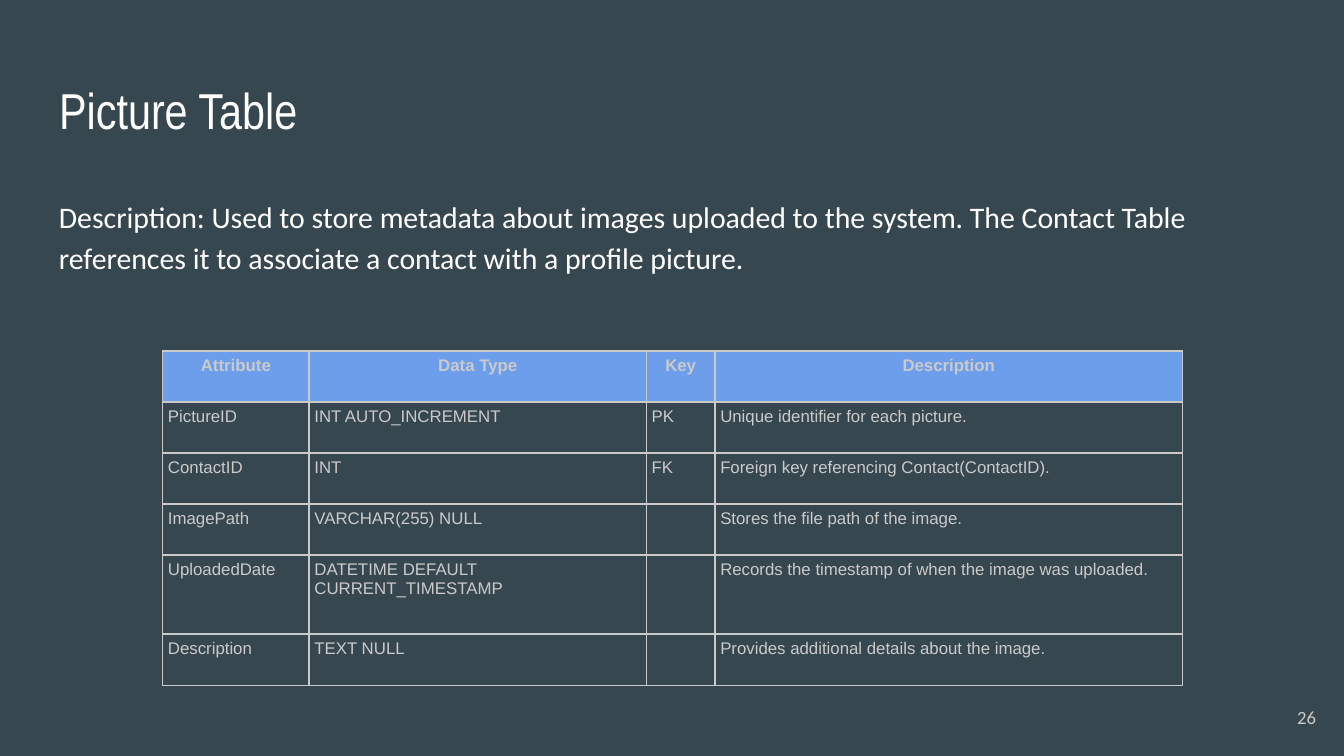
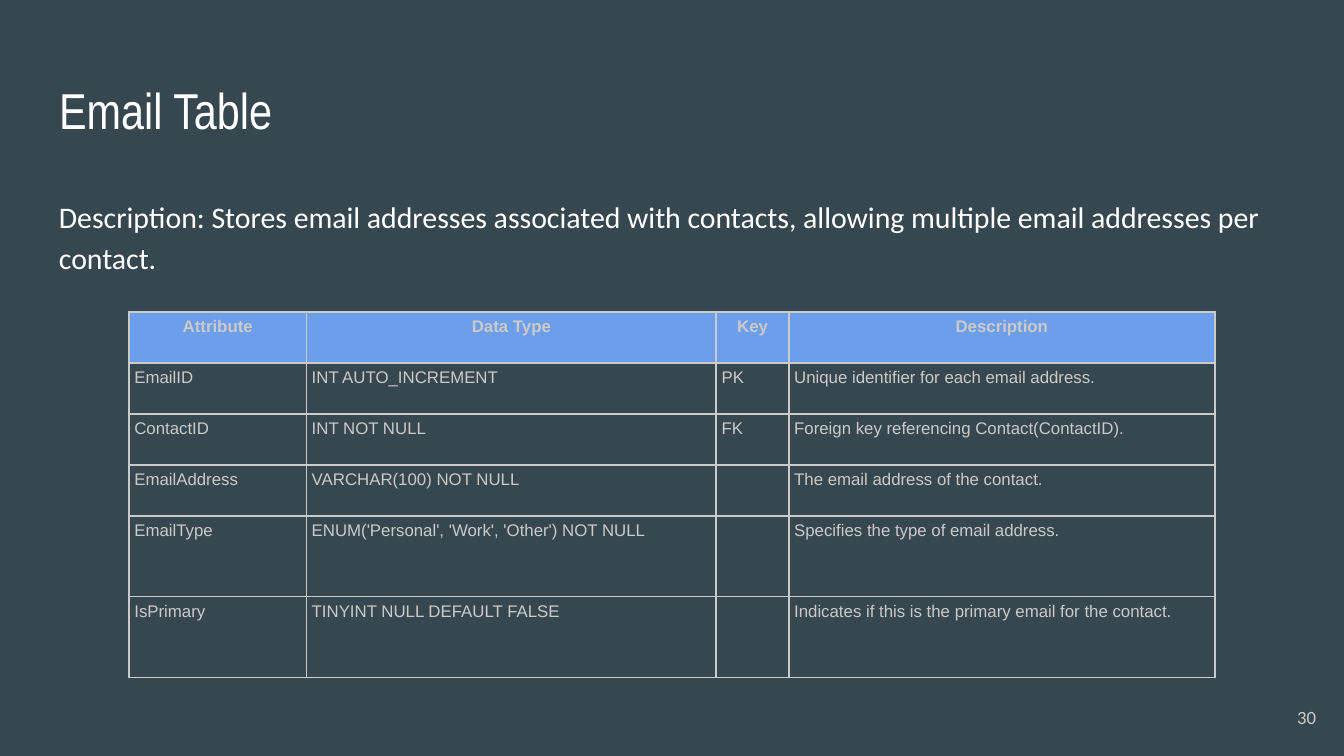
from dataclasses import dataclass

from lxml.etree import SubElement
from pptx import Presentation
from pptx.dml.color import RGBColor as RGB
from pptx.enum.text import MSO_ANCHOR as Anchor, PP_ALIGN as Align
from pptx.oxml.ns import qn
from pptx.util import Inches, Pt


@dataclass(frozen=True)
class Theme:
    background: str = "37474F"
    heading: str = "FFFFFF"
    muted: str = "CACACA"
    header_fill: str = "6D9EEB"
    title_font: str = "Arial Narrow"
    body_font: str = "Calibri"
    table_font: str = "Arial"
    title_size: float = 27
    body_size: float = 16
    table_size: float = 9
    number_size: float = 10
    border_width: float = 1
    text_inset: float = 0.1
    cell_inset: float = 0.04


THEME = Theme()
HEADINGS = ("Attribute", "Data Type", "Key", "Description")

PICTURE_ROWS = [
    ("PictureID", "INT AUTO_INCREMENT", "PK", "Unique identifier for each picture."),
    ("ContactID", "INT", "FK", "Foreign key referencing Contact(ContactID)."),
    ("ImagePath", "VARCHAR(255) NULL", "", "Stores the file path of the image."),
    ("UploadedDate", "DATETIME DEFAULT CURRENT_TIMESTAMP", "",
     "Records the timestamp of when the image was uploaded."),
    ("Description", "TEXT NULL", "", "Provides additional details about the image."),
]

EMAIL_ROWS = [
    ("EmailID", "INT AUTO_INCREMENT", "PK", "Unique identifier for each email address."),
    ("ContactID", "INT NOT NULL", "FK", "Foreign key referencing Contact(ContactID)."),
    ("EmailAddress", "VARCHAR(100) NOT NULL", "", "The email address of the contact."),
    ("EmailType", "ENUM('Personal', 'Work', 'Other') NOT NULL", "",
     "Specifies the type of email address."),
    ("IsPrimary", "TINYINT NULL DEFAULT FALSE", "",
     "Indicates if this is the primary email for the contact."),
]


# Text
def format_runs(paragraph, font, size, color, bold=False):
    for run in paragraph.runs:
        run.font.name = font
        run.font.size = Pt(size)
        run.font.bold = bold
        run.font.color.rgb = RGB.from_string(color)


def set_insets(holder, inset):
    holder.margin_left = holder.margin_right = Inches(inset)
    holder.margin_top = holder.margin_bottom = Inches(inset)


def fill_frame(frame, text, font, size, color, align=Align.LEFT, anchor=Anchor.TOP):
    frame.text = text
    frame.word_wrap = True
    frame.vertical_anchor = anchor
    set_insets(frame, THEME.text_inset)
    paragraph = frame.paragraphs[0]
    paragraph.alignment = align
    format_runs(paragraph, font, size, color)
    return paragraph


def add_title(slide, text):
    title = slide.shapes.title
    title.left, title.top = Inches(0.34), Inches(0.49)
    title.width, title.height = Inches(9.32), Inches(0.63)
    fill_frame(title.text_frame, text, THEME.title_font, THEME.title_size, THEME.heading)


def add_summary(slide, text, height):
    summary = slide.shapes.add_textbox(Inches(0.34), Inches(1.34), Inches(9.32), Inches(height))
    paragraph = fill_frame(summary.text_frame, text, THEME.body_font, THEME.body_size,
                           THEME.heading)
    paragraph.line_spacing = 1.15


def add_page_number(slide, number):
    page = slide.shapes.add_textbox(Inches(9.29), Inches(5.12), Inches(0.6), Inches(0.43))
    fill_frame(page.text_frame, str(number), THEME.body_font, THEME.number_size,
               THEME.muted, Align.RIGHT, Anchor.MIDDLE)


# Table
def add_borders(cell):
    properties = cell._tc.get_or_add_tcPr()
    for side in ("a:lnL", "a:lnR", "a:lnT", "a:lnB"):
        line = SubElement(properties, qn(side), w=str(Pt(THEME.border_width)))
        SubElement(SubElement(line, qn("a:solidFill")), qn("a:srgbClr"), val=THEME.muted)


def format_cell(cell, text, is_header):
    cell.text = text
    set_insets(cell, THEME.cell_inset)
    add_borders(cell)
    if is_header:
        cell.fill.solid()
        cell.fill.fore_color.rgb = RGB.from_string(THEME.header_fill)
    else:
        cell.fill.background()
    paragraph = cell.text_frame.paragraphs[0]
    paragraph.alignment = Align.CENTER if is_header else Align.LEFT
    paragraph.space_before = Pt(3)
    format_runs(paragraph, THEME.table_font, THEME.table_size, THEME.muted, is_header)
    if not text:  # keeps an empty cell from stretching its row
        SubElement(paragraph._p, qn("a:endParaRPr"), sz=str(int(THEME.table_size * 100)))


def add_attribute_table(slide, rows, left, top, widths, heights):
    records = [HEADINGS, *rows]
    table = slide.shapes.add_table(
        len(records), len(HEADINGS), Inches(left), Inches(top),
        Inches(sum(widths)), Inches(sum(heights))).table
    table.first_row = table.horz_banding = False
    for column, width in zip(table.columns, widths):
        column.width = Inches(width)
    for row, height in zip(table.rows, heights):
        row.height = Inches(height)
    for row_index, record in enumerate(records):
        for column_index, text in enumerate(record):
            format_cell(table.cell(row_index, column_index), text, row_index == 0)


# Slide
def add_entity_slide(deck, title, summary, summary_height, number, **table):
    slide = deck.slides.add_slide(deck.slide_layouts[5])
    add_title(slide, title)
    add_summary(slide, summary, summary_height)
    add_attribute_table(slide, **table)
    add_page_number(slide, number)


def main():
    deck = Presentation()
    # Widescreen, 16:9
    deck.slide_width = Inches(10)
    deck.slide_height = Inches(10 * 9 / 16)
    backdrop = deck.slide_master.background.fill
    backdrop.solid()
    backdrop.fore_color.rgb = RGB.from_string(THEME.background)

    add_entity_slide(
        deck, "Picture Table",
        "Description: Used to store metadata about images uploaded to the system. "
        "The Contact Table references it to associate a contact with a profile picture.",
        0.97, 26, rows=PICTURE_ROWS, left=1.21, top=2.61,
        widths=(1.09, 2.51, 0.51, 3.48), heights=(0.38,) * 4 + (0.59, 0.38))
    add_entity_slide(
        deck, "Email Table",
        "Description: Stores email addresses associated with contacts, "
        "allowing multiple email addresses per contact.",
        1.14, 30, rows=EMAIL_ROWS, left=0.96, top=2.32,
        widths=(1.32, 3.05, 0.54, 3.17), heights=(0.38,) * 4 + (0.6,) * 2)

    deck.save("out.pptx")


if __name__ == "__main__":
    main()
